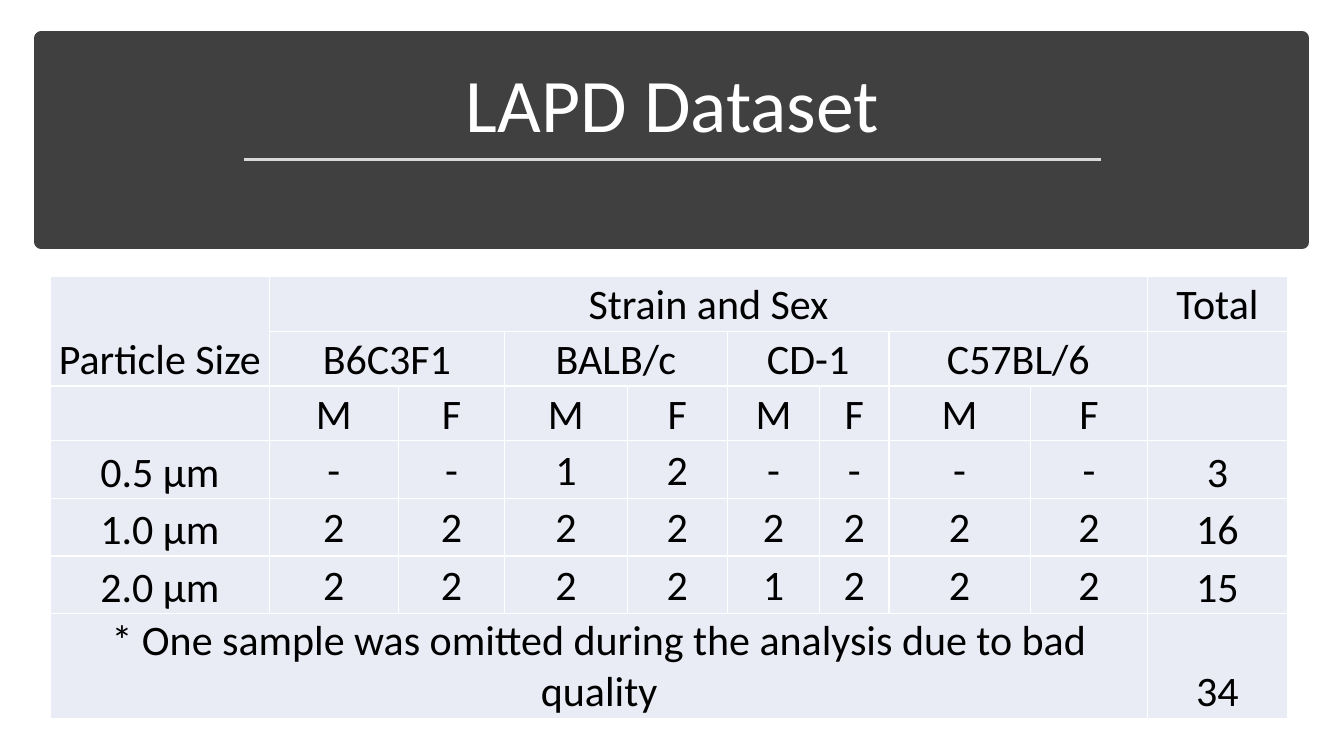
from lxml.etree import SubElement
from pptx import Presentation
from pptx.dml.color import RGBColor
from pptx.enum.shapes import MSO_CONNECTOR, MSO_SHAPE
from pptx.enum.text import MSO_ANCHOR, MSO_AUTO_SIZE, PP_ALIGN
from pptx.oxml import parse_xml
from pptx.oxml.ns import nsdecls, qn
from pptx.util import Pt

WHITE = RGBColor(0xFF, 0xFF, 0xFF)
BLACK = RGBColor(0, 0, 0)
CHARCOAL = RGBColor(0x40, 0x40, 0x40)
LIGHT_GREY = RGBColor(0xD9, 0xD9, 0xD9)
PALE_BLUE = RGBColor(0xE9, 0xEB, 0xF5)
FONT = "Calibri"


def write_centred(text_frame, text, size, color):
    paragraph = text_frame.paragraphs[0]
    paragraph.alignment = PP_ALIGN.CENTER
    run = paragraph.add_run()
    run.text = text
    run.font.name = FONT
    run.font.size = Pt(size)
    run.font.color.rgb = color


def add_borders(cell):
    properties = cell._tc.get_or_add_tcPr()
    for index, side in enumerate(("lnL", "lnR", "lnT", "lnB")):
        properties.insert(index, parse_xml(
            f'<a:{side} {nsdecls("a")} w="{Pt(1)}"><a:solidFill>'
            f'<a:srgbClr val="{WHITE}"/></a:solidFill></a:{side}>'))


presentation = Presentation()
presentation.slide_width = Pt(960)
presentation.slide_height = Pt(540)
slide = presentation.slides.add_slide(presentation.slide_layouts[5])
shapes = slide.shapes

# Title banner
title = shapes.title
title.left, title.top, title.width, title.height = Pt(41.8), Pt(36.7), Pt(877), Pt(73.4)
title.text_frame.vertical_anchor = MSO_ANCHOR.BOTTOM
title.text_frame.auto_size = MSO_AUTO_SIZE.NONE
title.text_frame.paragraphs[0].line_spacing = 0.9
write_centred(title.text_frame, "LAPD Dataset", 54, WHITE)

banner = shapes.add_shape(MSO_SHAPE.RECTANGLE, Pt(29.5), Pt(27.4), Pt(900.7), Pt(145.4))
banner.shadow.inherit = False
banner.fill.solid()
banner.fill.fore_color.rgb = CHARCOAL
banner.line.color.rgb = CHARCOAL
banner.line.width = Pt(10)
title.element.addprevious(banner.element)

underline = shapes.add_connector(MSO_CONNECTOR.STRAIGHT, Pt(174.2), Pt(113.8), Pt(786.2), Pt(113.8))
underline.line.color.rgb = LIGHT_GREY
underline.line.width = Pt(1.75)
SubElement(underline.element.spPr, qn("a:effectLst"))

# Sample counts; None marks a cell covered by a merge
SEXES = ["M", "F"] * 4
ROWS = [
    ["Particle Size", "Strain and Sex"] + [None] * 7 + ["Total"],
    [None, "B6C3F1", None, "BALB/c", None, "CD-1", None, "C57BL/6", None, ""],
    ["", *SEXES, ""],
    ["0.5 µm", "-", "-", "1", "2", "-", "-", "-", "-", "3"],
    ["1.0 µm"] + ["2"] * 8 + ["16"],
    ["2.0 µm", "2", "2", "2", "2", "1", "2", "2", "2", "15"],
    ["* One sample was omitted during the analysis due to bad quality"] + [None] * 8 + ["34"],
]
MERGES = [((0, 0), (1, 0)), ((0, 1), (0, 8)), ((6, 0), (6, 8))]
MERGES += [((1, column), (1, column + 1)) for column in range(1, 9, 2)]
COLUMN_WIDTHS = [156.2, 92.2, 75.8, 87.7, 71.5, 66, 49.5, 100.8, 84, 99.7]
ROW_HEIGHTS = [39.1] * 3 + [41.2] * 3 + [74.7]

frame = shapes.add_table(len(ROWS), len(COLUMN_WIDTHS), Pt(36.2), Pt(197.5),
                         Pt(sum(COLUMN_WIDTHS)), Pt(sum(ROW_HEIGHTS)))
table = frame.table
table.first_row = False
table.horz_banding = False
for column, width in zip(table.columns, COLUMN_WIDTHS):
    column.width = Pt(width)
for row, height in zip(table.rows, ROW_HEIGHTS):
    row.height = Pt(height)
for first, last in MERGES:
    table.cell(*first).merge(table.cell(*last))

for row_index, row in enumerate(ROWS):
    for column_index, text in enumerate(row):
        cell = table.cell(row_index, column_index)
        cell.fill.solid()
        cell.fill.fore_color.rgb = PALE_BLUE
        add_borders(cell)
        if not text:
            continue
        is_count = 3 <= row_index <= 5 and 1 <= column_index <= 8
        cell.vertical_anchor = MSO_ANCHOR.BOTTOM
        cell.margin_left = cell.margin_right = Pt(0.7)
        cell.margin_top = Pt(1.4 if is_count else 0.7)
        cell.margin_bottom = Pt(1.4 if is_count else 0)
        write_centred(cell.text_frame, text, 30, BLACK)

presentation.save("out.pptx")
